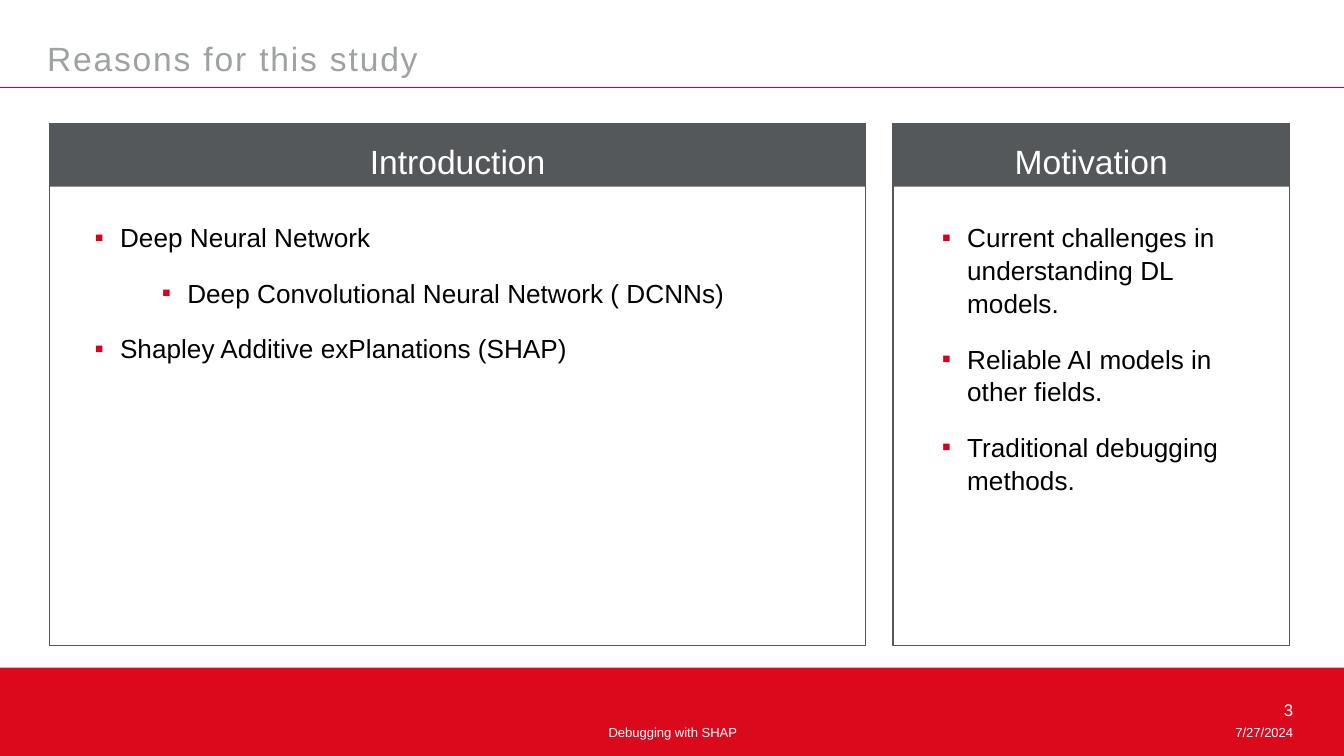
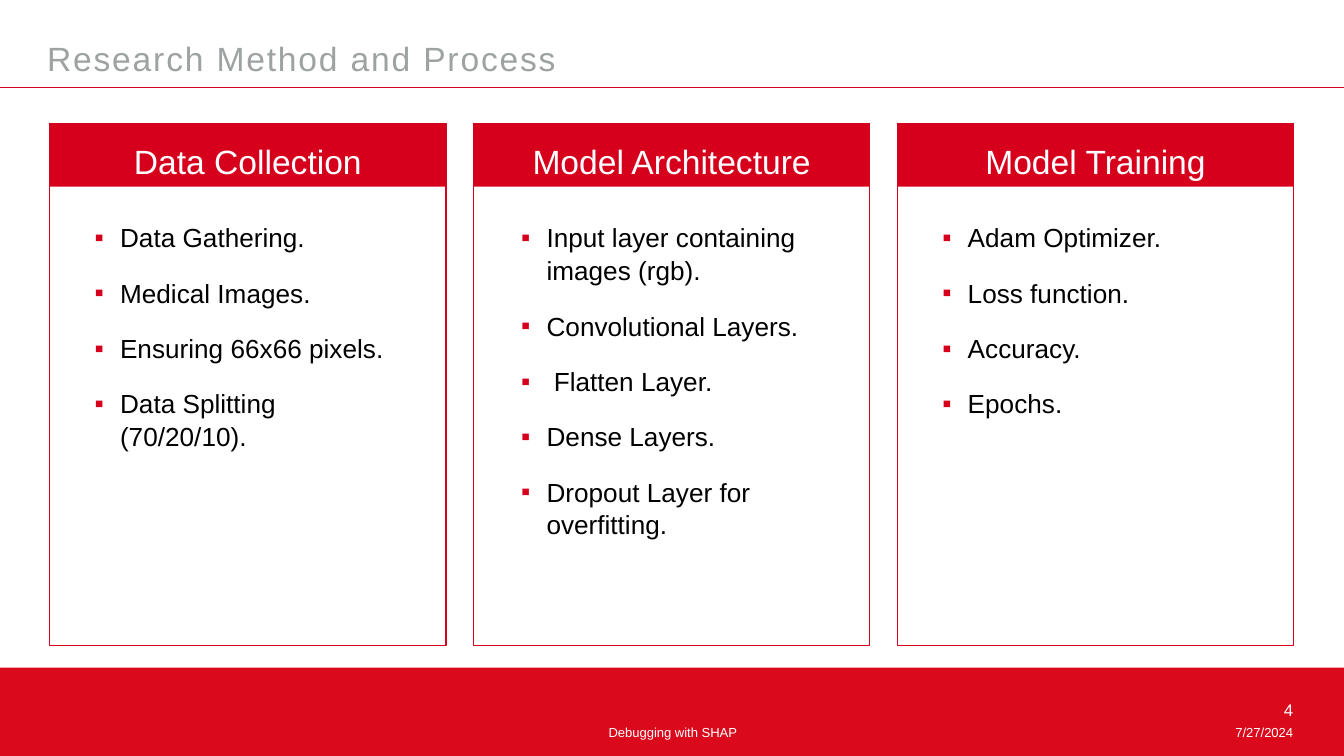
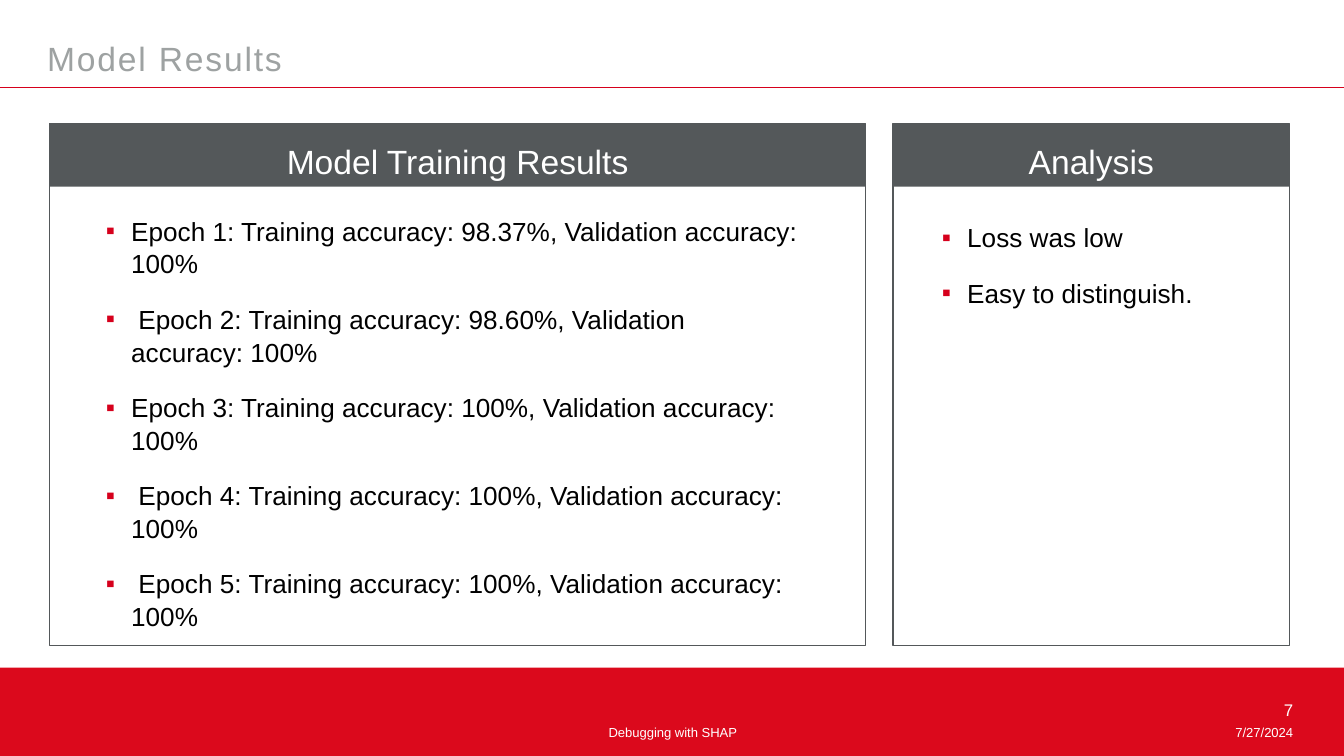
from dataclasses import dataclass

from lxml.etree import SubElement
from pptx import Presentation
from pptx.dml.color import RGBColor
from pptx.enum.shapes import MSO_CONNECTOR, MSO_SHAPE
from pptx.enum.text import MSO_ANCHOR, MSO_AUTO_SIZE, PP_ALIGN
from pptx.oxml.ns import qn
from pptx.util import Cm, Pt

FONT = "Arial"
RED, BAND_RED, GRAY = "D6001C", "DB091C", "54585A"
TITLE_GRAY, WHITE, BLACK = "9EA2A2", "FFFFFF", "000000"

SLIDE_WIDTH, SLIDE_HEIGHT = 25.4, 14.29
PANELS_LEFT, PANEL_TOP, PANEL_GAP = 0.94, 2.34, 0.52
PANEL_HEIGHT, HEADER_HEIGHT = 9.86, 1.19
WIDE, NARROW = 15.42, 7.49
BULLET_INDENT, LEVEL_STEP = 0.48, 1.27


@dataclass
class Panel:
    heading: str
    bullets: list
    text_height: float
    width: float = NARROW
    text_inset: float = 0.6
    text_top: float = 4.04
    text_width: float = 6.1


def rgb(hex_color):
    return RGBColor.from_string(hex_color)


def add_rectangle(slide, left, top, width, height, fill=None, outline=None):
    rectangle = slide.shapes.add_shape(
        MSO_SHAPE.RECTANGLE, Cm(left), Cm(top), Cm(width), Cm(height))
    rectangle.shadow.inherit = False
    if fill:
        rectangle.fill.solid()
        rectangle.fill.fore_color.rgb = rgb(fill)
    else:
        rectangle.fill.background()
    if outline:
        rectangle.line.color.rgb = rgb(outline)
        rectangle.line.width = Pt(0.75)
    else:
        rectangle.line.fill.background()


def add_frame(slide, left, top, width, height, grows=False):
    frame = slide.shapes.add_textbox(
        Cm(left), Cm(top), Cm(width), Cm(height)).text_frame
    frame.word_wrap = True
    frame.auto_size = (
        MSO_AUTO_SIZE.SHAPE_TO_FIT_TEXT if grows else MSO_AUTO_SIZE.NONE)
    return frame


def style_runs(paragraph, size, color):
    for run in paragraph.runs:
        run.font.name = FONT
        run.font.size = Pt(size)
        run.font.color.rgb = rgb(color)


def add_label(slide, text, left, top, width, height, size, color,
              align=PP_ALIGN.LEFT, anchor=MSO_ANCHOR.TOP, grows=False):
    frame = add_frame(slide, left, top, width, height, grows)
    frame.vertical_anchor = anchor
    frame.text = text
    paragraph = frame.paragraphs[0]
    paragraph.alignment = align
    style_runs(paragraph, size, color)
    return paragraph


def add_bullet_mark(paragraph, level):
    properties = paragraph._p.get_or_add_pPr()
    properties.set("marL", str(Cm(BULLET_INDENT + level * LEVEL_STEP)))
    properties.set("indent", str(-Cm(BULLET_INDENT)))
    mark_color = SubElement(properties, qn("a:buClr"))
    SubElement(mark_color, qn("a:srgbClr"), val=RED)
    SubElement(properties, qn("a:buFont"), typeface=FONT)
    SubElement(properties, qn("a:buChar"), char="▪")


def add_bullets(slide, bullets, left, top, width, height):
    frame = add_frame(slide, left, top, width, height, grows=True)
    for index, bullet in enumerate(bullets):
        text, level = bullet if isinstance(bullet, tuple) else (bullet, 0)
        paragraph = frame.add_paragraph() if index else frame.paragraphs[0]
        paragraph.text = text
        paragraph.level = level
        add_bullet_mark(paragraph, level)
        paragraph.line_spacing = 1.05
        paragraph.space_before = Pt(12 if index else 0)
        style_runs(paragraph, 14, BLACK)


def add_title_rule(slide):
    rule = slide.shapes.add_connector(
        MSO_CONNECTOR.STRAIGHT, Cm(0), Cm(1.65), Cm(SLIDE_WIDTH), Cm(1.65))
    rule.line.color.rgb = rgb(RED)
    rule.line.width = Pt(0.5)
    SubElement(rule._element.spPr, qn("a:effectLst"))


def add_footer(slide, number):
    add_rectangle(slide, 0, 12.62, SLIDE_WIDTH, 1.7, fill=BAND_RED)
    add_label(slide, "7/27/2024", 18.77, 13.56, 5.92, 0.25, 7, WHITE,
              PP_ALIGN.RIGHT)
    add_label(slide, "Debugging with SHAP", 8.69, 13.56, 8.05, 1.5, 7, WHITE,
              PP_ALIGN.CENTER)
    add_label(slide, str(number), 18.77, 13.11, 5.92, 0.25, 9, WHITE,
              PP_ALIGN.RIGHT)


def add_title(slide, title):
    heading = add_label(slide, title, 0.64, 0.56, 23.11, 1.07, 18, TITLE_GRAY,
                        anchor=MSO_ANCHOR.MIDDLE)
    heading.space_after = Pt(18)
    for run in heading.runs:
        run._r.get_or_add_rPr().set("spc", "100")


def add_panel(slide, panel, left, color):
    add_rectangle(slide, left, PANEL_TOP, panel.width, PANEL_HEIGHT,
                  outline=color)
    add_rectangle(slide, left, PANEL_TOP, panel.width, HEADER_HEIGHT,
                  fill=color)
    add_label(slide, panel.heading, left, 2.54, panel.width, 1.02, 18, WHITE,
              PP_ALIGN.CENTER, MSO_ANCHOR.MIDDLE, grows=True)
    add_bullets(slide, panel.bullets, left + panel.text_inset, panel.text_top,
                panel.text_width, panel.text_height)


def add_panel_slide(deck, number, title, color, panels):
    slide = deck.slides.add_slide(deck.slide_layouts[6])
    add_footer(slide, number)
    add_title_rule(slide)
    add_title(slide, title)
    left = PANELS_LEFT
    for panel in panels:
        add_panel(slide, panel, left, color)
        left += panel.width + PANEL_GAP


def main():
    deck = Presentation()
    deck.slide_width = Cm(SLIDE_WIDTH)
    deck.slide_height = Cm(SLIDE_HEIGHT)

    add_panel_slide(deck, 3, "Reasons for this study", GRAY, [
        Panel("Introduction", [
            "Deep Neural Network",
            ("Deep Convolutional Neural Network ( DCNNs)", 1),
            "Shapley Additive exPlanations (SHAP)",
        ], 2.9, WIDE, text_width=13.51),
        Panel("Motivation", [
            "Current challenges in understanding DL models.",
            "Reliable AI models in other fields.",
            "Traditional debugging methods.",
        ], 5.31, text_inset=0.67),
    ])

    add_panel_slide(deck, 4, "Research Method and Process", RED, [
        Panel("Data Collection", [
            "Data Gathering.",
            "Medical Images.",
            "Ensuring 66x66 pixels.",
            "Data Splitting (70/20/10).",
        ], 4.52),
        Panel("Model Architecture", [
            "Input layer containing images (rgb).",
            "Convolutional Layers.",
            " Flatten Layer.",
            "Dense Layers.",
            "Dropout Layer for overfitting.",
        ], 6.15, text_inset=0.65),
        Panel("Model Training", [
            "Adam Optimizer.",
            "Loss function.",
            "Accuracy.",
            "Epochs.",
        ], 3.94),
    ])

    add_panel_slide(deck, 7, "Model Results", GRAY, [
        Panel("Model Training Results", [
            "Epoch 1: Training accuracy: 98.37%, Validation accuracy: 100%",
            " Epoch 2: Training accuracy: 98.60%, Validation accuracy: 100%",
            "Epoch 3: Training accuracy: 100%, Validation accuracy: 100%",
            " Epoch 4: Training accuracy: 100%, Validation accuracy: 100%",
            " Epoch 5: Training accuracy: 100%, Validation accuracy: 100%",
        ], 7.95, WIDE, text_inset=0.81, text_top=3.91, text_width=13.69),
        Panel("Analysis", [
            "Loss was low",
            "Easy to distinguish.",
        ], 3.51, text_inset=0.67),
    ])

    deck.save("out.pptx")


if __name__ == "__main__":
    main()
